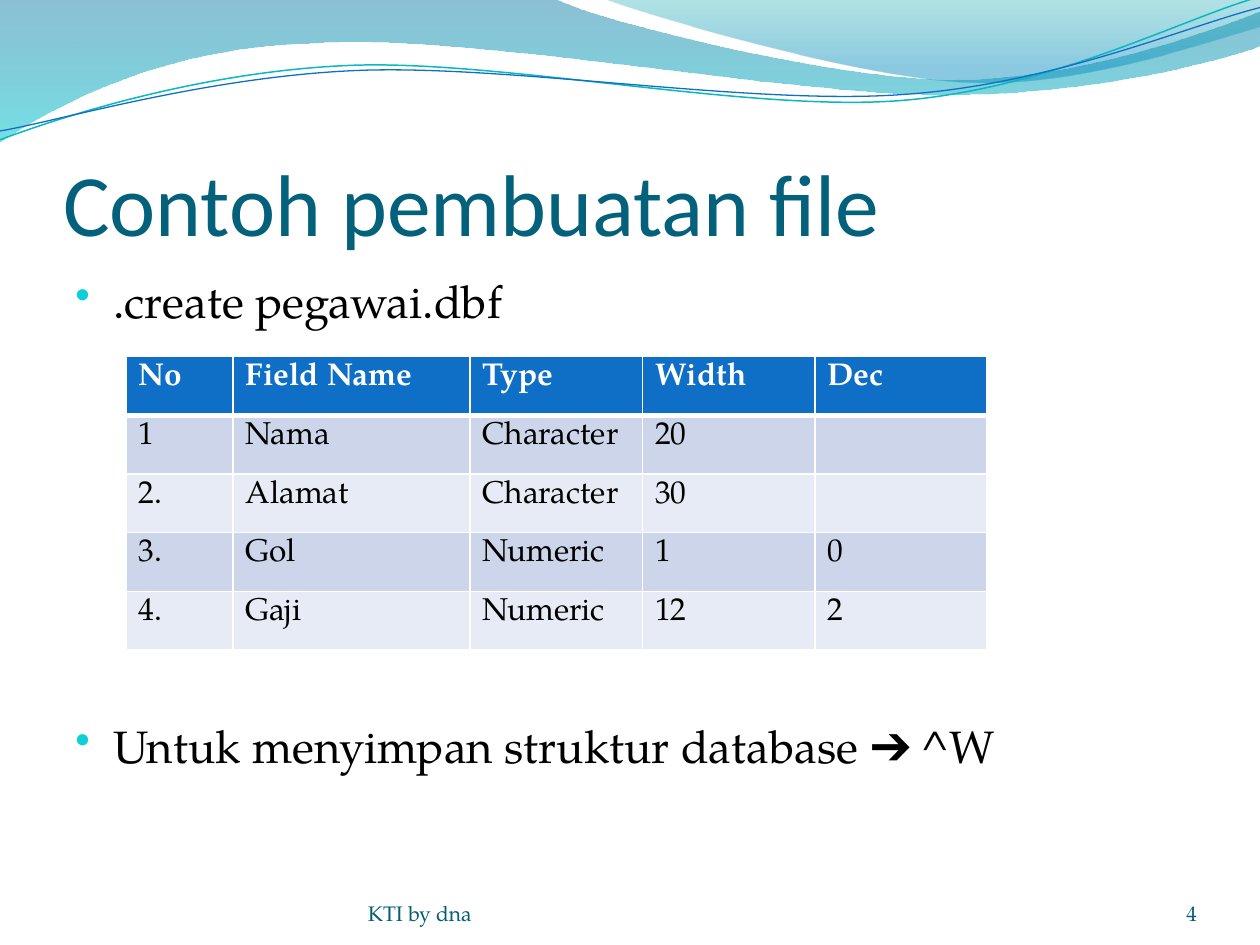
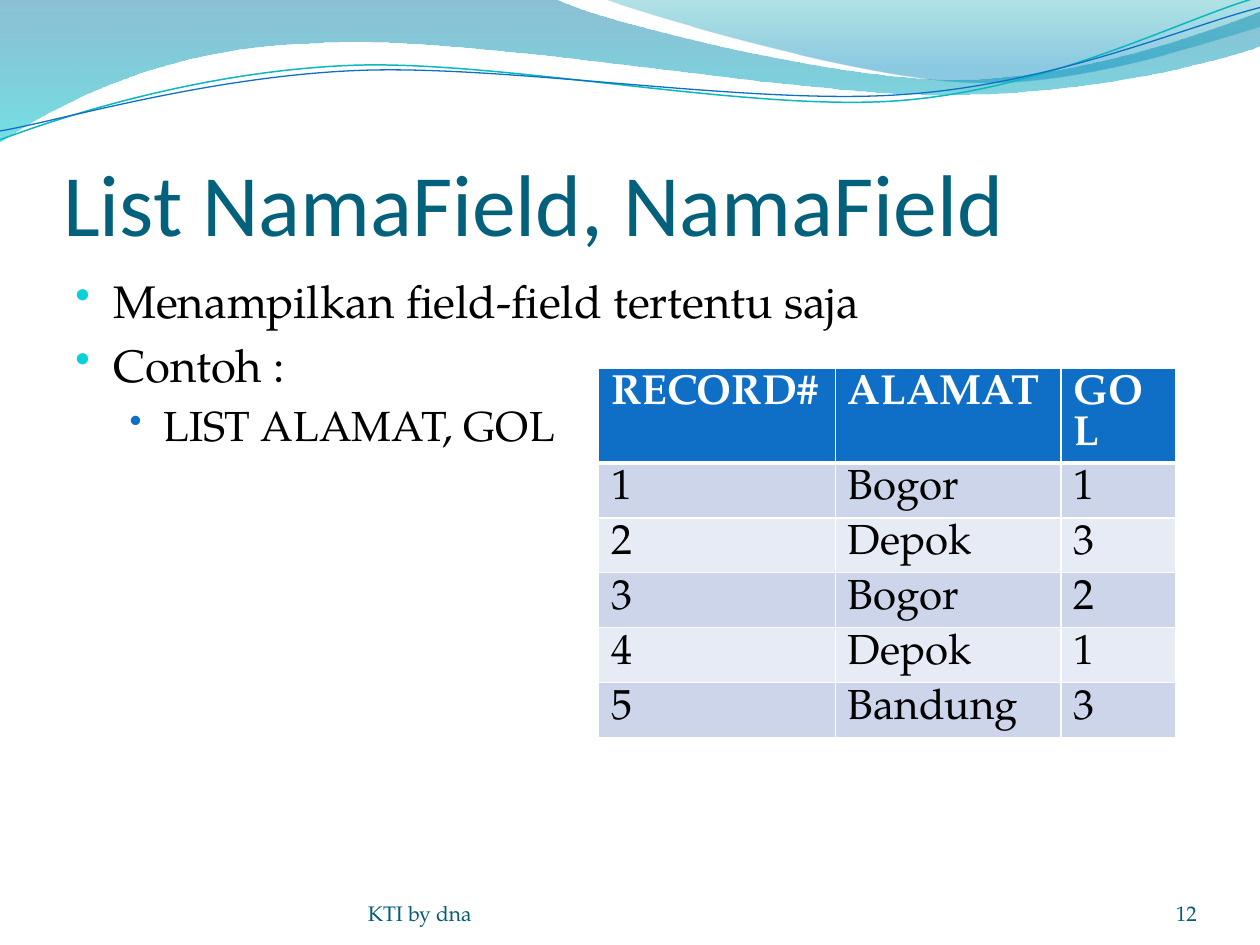
"""Build two database lesson slides that share a wave header, title and footer."""
from dataclasses import dataclass

from lxml import etree
from pptx import Presentation
from pptx.dml.color import RGBColor
from pptx.enum.text import MSO_ANCHOR, MSO_AUTO_SIZE, PP_ALIGN
from pptx.oxml.ns import qn
from pptx.util import Inches, Pt

LEFT, RIGHT = PP_ALIGN.LEFT, PP_ALIGN.RIGHT
TOP, BOTTOM = MSO_ANCHOR.TOP, MSO_ANCHOR.BOTTOM
FIXED = MSO_AUTO_SIZE.NONE


@dataclass(frozen=True)
class Theme:
    """Colours, fonts and type sizes."""
    head: str = "Calibri"
    body: str = "TeX Gyre Pagella"
    mark: str = "OpenSymbol"
    title: str = "04617B"
    foot: str = "045D75"
    ink: str = "000000"
    white: str = "FFFFFF"
    blue: str = "0F6FC6"
    aqua: str = "0BD0D9"
    teal: str = "0AB8BF"
    bands: tuple = ("CCD5EA", "E7EBF5")
    big: int = 50
    small: int = 12


T = Theme()

SLIDES = [
    {
        "title": "Contoh pembuatan file",
        "points": [(0, ".create pegawai.dbf", 0),
                   (0, "Untuk menyimpan struktur database ➔ ^W", 223)],
        "rows": [("No", "Field Name", "Type", "Width", "Dec"),
                 ("1", "Nama", "Character", "20", ""),
                 ("2.", "Alamat", "Character", "30", ""),
                 ("3.", "Gol", "Numeric", "1", "0"),
                 ("4.", "Gaji", "Numeric", "12", "2")],
        "at": (1, 2.83), "cols": (0.85, 1.88, 1.37, 1.37, 1.36),
        "high": 2.33, "size": 18, "page": "4",
    },
    {
        "title": "List NamaField, NamaField",
        "points": [(0, "Menampilkan field-field tertentu saja", 0),
                   (0, "Contoh :", 5.2),
                   (1, "LIST ALAMAT, GOL", 4.8)],
        "rows": [("RECORD#", "ALAMAT", "GOL"),
                 ("1", "Bogor", "1"),
                 ("2", "Depok", "3"),
                 ("3", "Bogor", "2"),
                 ("4", "Depok", "1"),
                 ("5", "Bandung", "3")],
        "at": (4.75, 2.92), "cols": (1.88, 1.79, 0.91),
        "high": 2.46, "size": 24, "page": "12",
    },
]

LEVELS = [
    {"size": 26, "left": 0.3, "hang": 0.3, "tint": T.aqua, "scale": 95},
    {"size": 24, "left": 0.7, "hang": 0.27, "tint": T.blue, "scale": 85},
]

BANDS = [
    ([(0, 0), (4.4, -0.01), (4.76, 0.17, 6.64, 0.63, 7.58, 0.63),
      (8.53, 0.63, 9.58, 0.26, 10, 0.09), (10.01, 0.36),
      (9.83, 0.44, 8.7, 0.76, 7.46, 0.75), (6.22, 0.75, 3.82, 0.28, 2.57, 0.34),
      (1.29, 0.36, 0.46, 0.83, -0.01, 1.13), (0, 0)],
     [(0, "0074A1", 45), (1, "00C6CF", 55)]),
    ([(4.79, -0.01), (5.09, 0.11, 6.82, 0.62, 7.69, 0.65),
      (8.56, 0.69, 9.61, 0.32, 10, 0.21), (10, 0), (4.79, -0.01)],
     [(0, "00A1A9", 30), (0.8, "008BBF", 45)]),
]

WAVES = [
    ([(0, 1.11), (0.48, 0.93, 1.58, 0.57, 2.77, 0.52),
      (3.95, 0.47, 5.93, 0.89, 7.13, 0.8), (8.33, 0.71, 9.38, 0.15, 9.98, -0.02)],
     T.teal, 0.85),
    ([(0, 1.04), (0.47, 0.96, 1.64, 0.61, 2.83, 0.56),
      (4.03, 0.51, 5.97, 0.84, 7.17, 0.75), (8.36, 0.67, 9.41, 0.21, 10, 0.06)],
     T.blue, 0.75),
]


def rgb(code):
    """Turn a hex code into a colour."""
    return RGBColor.from_string(code)


def sub(node, tag, **attrs):
    """Append a drawing element with attributes."""
    return etree.SubElement(node, qn("a:" + tag), {k: str(v) for k, v in attrs.items()})


def write(para, text, size, color=T.ink, font=T.body, bold=False, align=LEFT):
    """Put one formatted run in a paragraph."""
    run = para.add_run()
    run.text = text
    run.font.size = Pt(size)
    run.font.name = font
    run.font.bold = bold
    run.font.color.rgb = rgb(color)
    para.alignment = align


def frame(shape, box, insets, anchor):
    """Place a text shape and return its frame."""
    shape.left, shape.top, shape.width, shape.height = map(Inches, box)
    text = shape.text_frame
    text.word_wrap = True
    text.auto_size = FIXED
    text.vertical_anchor = anchor
    (text.margin_left, text.margin_top,
     text.margin_right, text.margin_bottom) = map(Inches, insets)
    return text


def outline(slide, steps, close):
    """Draw a freeform of lines and cubic curves along the steps."""
    dots = [(Inches(step[-2]), Inches(step[-1])) for step in steps]
    pen = slide.shapes.build_freeform(*dots[0], scale=1.0)
    pen.add_line_segments(dots[1:], close=close)
    shape = pen.convert_to_shape()
    shape.shadow.inherit = False
    lines = shape._element.spPr.findall(".//" + qn("a:lnTo"))
    for line, step in zip(lines, steps[1:]):
        if len(step) == 6:
            curve = etree.Element(qn("a:cubicBezTo"))
            for x, y in zip(step[::2], step[1::2]):
                sub(curve, "pt", x=Inches(x) - shape.left, y=Inches(y) - shape.top)
            line.getparent().replace(line, curve)
    return shape


def header(slide):
    """Draw the shared bands and waves."""
    for steps, stops in BANDS:
        band = outline(slide, steps, True)
        band.line.fill.background()
        band.fill.gradient()
        band.fill.gradient_angle = 270
        for stop, (place, color, _) in zip(band.fill.gradient_stops, stops):
            stop.position = place
            stop.color.rgb = rgb(color)
        tints = band._element.spPr.findall(".//" + qn("a:srgbClr"))
        for tint, (_, _, alpha) in zip(tints, stops):
            sub(tint, "alpha", val=alpha * 1000)
    for steps, color, width in WAVES:
        wave = outline(slide, steps, False)
        wave.fill.background()
        wave.line.color.rgb = rgb(color)
        wave.line.width = Pt(width)


def bullets(slide, points):
    """Write the bulleted body text."""
    box = slide.shapes.add_textbox(0, 0, 0, 0)
    text = frame(box, (0.5, 2.12, 9, 4.8), (0.1, 0.05, 0.1, 0.05), TOP)
    for i, (level, words, gap) in enumerate(points):
        para = text.add_paragraph() if i else text.paragraphs[0]
        look = LEVELS[level]
        para.level = level
        props = para._p.get_or_add_pPr()
        props.set("marL", str(Inches(look["left"])))
        props.set("indent", str(-Inches(look["hang"])))
        sub(sub(props, "buClr"), "srgbClr", val=look["tint"])
        sub(props, "buSzPct", val=look["scale"] * 1000)
        sub(props, "buFont", typeface=T.mark)
        sub(props, "buChar", char="•")
        if gap:
            para.space_before = Pt(gap)
        write(para, words, look["size"])


def border(cell, widths):
    """Give a cell white borders, with widths by side."""
    props = cell._tc.get_or_add_tcPr()
    for i, (side, width) in enumerate(widths.items()):
        line = sub(props, "ln" + side, w=Pt(width))
        sub(sub(line, "solidFill"), "srgbClr", val=T.white)
        props.insert(i, line)


def grid(slide, page):
    """Draw the table with a blue head row and banded body."""
    rows, cols, high = page["rows"], page["cols"], page["high"]
    sizes = (*page["at"], sum(cols), high)
    table = slide.shapes.add_table(len(rows), len(cols), *map(Inches, sizes)).table
    for col, width in zip(table.columns, cols):
        col.width = Inches(width)
    for r, row in enumerate(rows):
        head = r == 0
        for c, words in enumerate(row):
            cell = table.cell(r, c)
            cell.fill.solid()
            cell.fill.fore_color.rgb = rgb(T.blue if head else T.bands[(r - 1) % 2])
            border(cell, {"L": 1, "R": 1, "T": 3 if r == 1 else 1, "B": 3 if head else 1})
            if words:
                write(cell.text_frame.paragraphs[0], words, page["size"],
                      color=T.white if head else T.ink, bold=head)


def footer(slide, number):
    """Write the footer and the page number."""
    for words, left, width, align in (("KTI by dna", 2.92, 3.67, LEFT),
                                      (number, 8.67, 0.83, RIGHT)):
        box = slide.shapes.add_textbox(0, 0, 0, 0)
        text = frame(box, (left, 6.95, width, 0.4), (0, 0, 0, 0), BOTTOM)
        write(text.paragraphs[0], words, T.small, color=T.foot, align=align)


def build(deck, page):
    """Add one slide."""
    slide = deck.slides.add_slide(deck.slide_layouts[5])
    header(slide)
    title = slide.shapes.title
    slide.shapes._spTree.append(title._element)
    text = frame(title, (0.5, 0.77, 9, 1.25), (0, 0.05, 0, 0), BOTTOM)
    write(text.paragraphs[0], page["title"], T.big, color=T.title, font=T.head)
    bullets(slide, page["points"])
    footer(slide, page["page"])
    grid(slide, page)


def main():
    """Build and save the deck."""
    deck = Presentation()
    deck.slide_width, deck.slide_height = Inches(10), Inches(7.5)
    for page in SLIDES:
        build(deck, page)
    deck.save("out.pptx")


if __name__ == "__main__":
    main()
